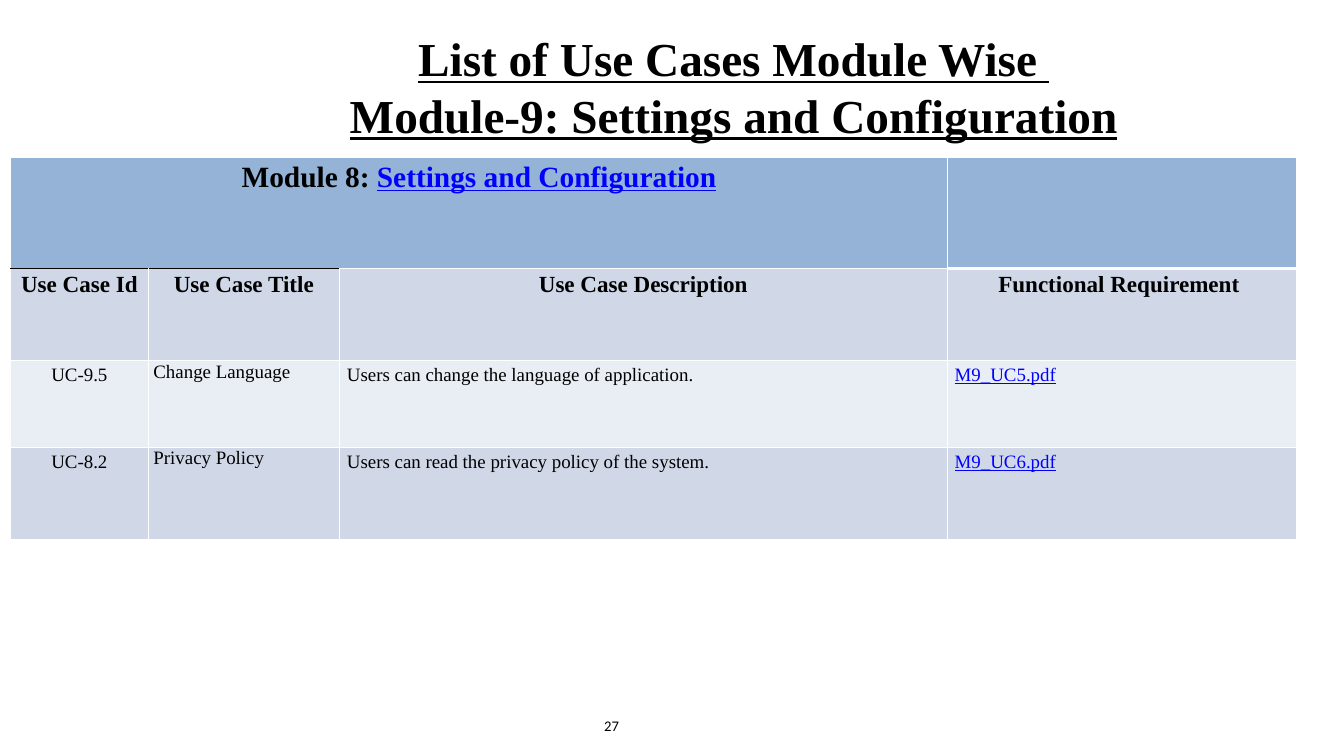
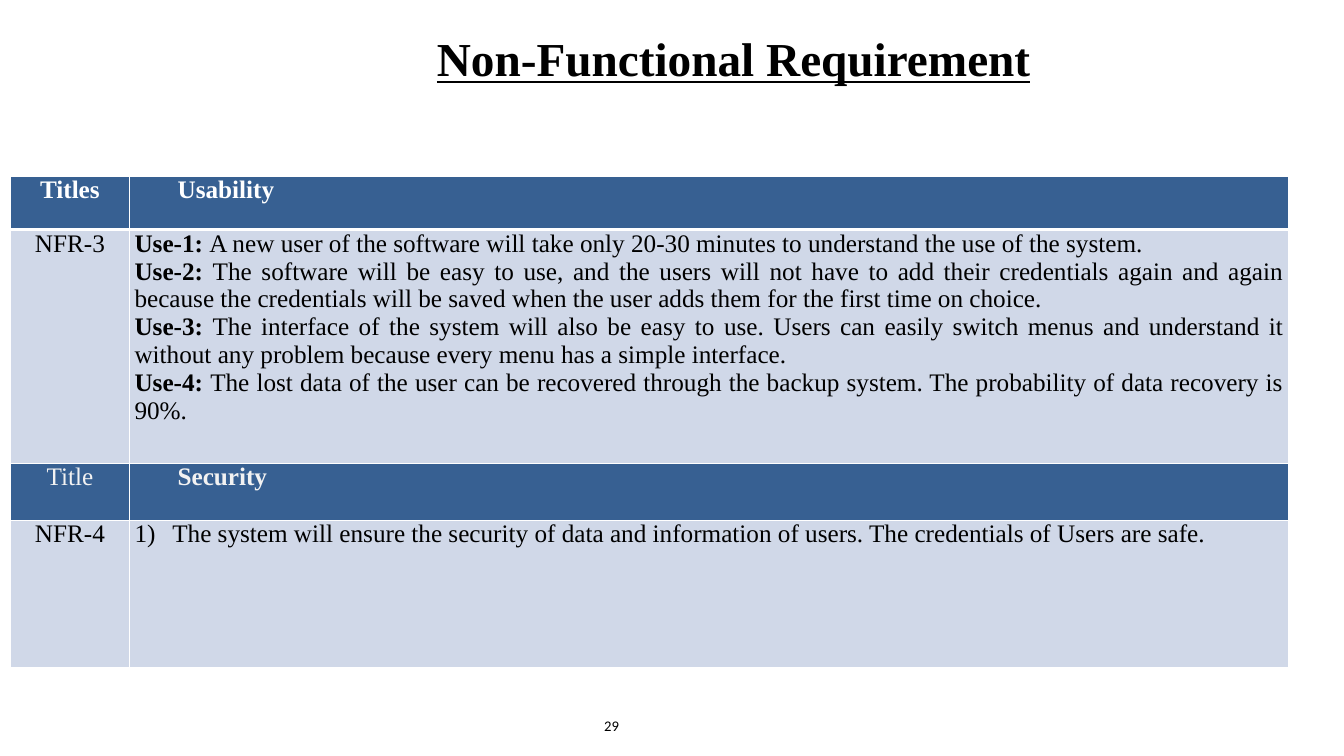
from dataclasses import dataclass

from lxml.etree import SubElement
from pptx import Presentation
from pptx.dml.color import RGBColor
from pptx.enum.text import MSO_ANCHOR, PP_ALIGN as Align
from pptx.oxml.ns import qn
from pptx.util import Inches, Pt

# Shared look
SERIF = "Times New Roman"
BLACK, WHITE, PALE = "000000", "FFFFFF", "F2F2F2"
LINK, SKY, NAVY = "0000FF", "95B3D7", "376092"
BAND, LIGHT_BAND = "D0D8E8", "E9EDF4"
TABLE_LEFT = 0.14
TIGHT, ROOMY = (0.07, 0), (0.1, 0.05)  # cell margins: sides, top and bottom


@dataclass(frozen=True)
class TextStyle:
    size: float
    bold: bool = False
    color: str = BLACK
    underline: bool = False
    name: str = SERIF


@dataclass(frozen=True)
class Line:
    """One paragraph; the last run may have a style of its own."""
    text: str
    style: TextStyle
    align: Align = Align.LEFT
    tail: str = ""
    tail_style: TextStyle | None = None
    left: float = 0
    hanging: float = 0
    number: bool = False
    line_spacing: float | None = None
    space_after: float = 0


@dataclass(frozen=True)
class Cell:
    lines: tuple[Line, ...]
    fill: str
    margins: tuple[float, float] = TIGHT
    span: int = 1
    top: tuple[str, float] = (WHITE, 1)
    bottom: tuple[str, float] = (WHITE, 1)


@dataclass(frozen=True)
class TableSlide:
    number: str
    title: str
    title_left: float
    title_width: float
    table_top: float
    columns: tuple[float, ...]
    row_heights: tuple[float, ...]
    rows: tuple[tuple[Cell | None, ...], ...]


TITLE = TextStyle(45, bold=True, underline=True)
PAGE_NUMBER = TextStyle(14, name="Calibri")
MODULE = TextStyle(28, bold=True)
MODULE_LINK = TextStyle(28, bold=True, color=LINK, underline=True)
HEADING = TextStyle(22, bold=True)
ENTRY = TextStyle(18)
ENTRY_LINK = TextStyle(18, color=LINK, underline=True)
REQUIREMENT = TextStyle(24)
REQUIREMENT_BOLD = TextStyle(24, bold=True)


def rgb(color: str) -> RGBColor:
    return RGBColor.from_string(color)


def set_font(font, style: TextStyle) -> None:
    font.name, font.size = style.name, Pt(style.size)
    font.bold, font.underline = style.bold, style.underline
    font.color.rgb = rgb(style.color)


def write_line(paragraph, line: Line) -> None:
    paragraph.alignment = line.align
    paragraph.space_after = Pt(line.space_after)
    if line.line_spacing:
        paragraph.line_spacing = line.line_spacing
    properties = paragraph._p.get_or_add_pPr()
    properties.set("marL", str(Inches(line.left)))
    properties.set("indent", str(-Inches(line.hanging)))
    if line.number:
        SubElement(properties, qn("a:buFont"), typeface="+mj-lt")
        SubElement(properties, qn("a:buAutoNum"), type="arabicParenR")
    if line.tail:
        for text, style in ((line.text, line.style), (line.tail, line.tail_style)):
            run = paragraph.add_run()
            run.text = text
            set_font(run.font, style)
    else:
        paragraph.text = line.text
        set_font(paragraph.font, line.style)


def write_lines(frame, lines: tuple[Line, ...]) -> None:
    for index, line in enumerate(lines):
        write_line(frame.add_paragraph() if index else frame.paragraphs[0], line)


def add_text(slide, left: float, top: float, width: float, height: float,
             line: Line, anchor: MSO_ANCHOR) -> None:
    frame = slide.shapes.add_textbox(
        Inches(left), Inches(top), Inches(width), Inches(height)).text_frame
    frame.word_wrap = True
    frame.vertical_anchor = anchor
    frame.margin_left = frame.margin_right = Inches(0.11)
    frame.margin_top = frame.margin_bottom = Inches(0.06)
    write_lines(frame, (line,))


def add_border(cell, side: str, color: str, width: float) -> None:
    border = SubElement(cell._tc.get_or_add_tcPr(), qn(f"a:ln{side}"), w=str(Pt(width)))
    SubElement(SubElement(border, qn("a:solidFill")), qn("a:srgbClr"), val=color)


def draw_cell(cell, content: Cell) -> None:
    sides, ends = content.margins
    cell.margin_left = cell.margin_right = Inches(sides)
    cell.margin_top = cell.margin_bottom = Inches(ends)
    for side, border in (("L", (WHITE, 1)), ("R", (WHITE, 1)),
                         ("T", content.top), ("B", content.bottom)):
        add_border(cell, side, *border)
    cell.fill.solid()
    cell.fill.fore_color.rgb = rgb(content.fill)
    write_lines(cell.text_frame, content.lines)


def draw_table(slide, page: TableSlide) -> None:
    table = slide.shapes.add_table(
        len(page.rows), len(page.columns), Inches(TABLE_LEFT), Inches(page.table_top),
        Inches(sum(page.columns)), Inches(sum(page.row_heights))).table
    table.first_row = table.horz_banding = False
    for column, width in zip(table.columns, page.columns):
        column.width = Inches(width)
    for row, height in zip(table.rows, page.row_heights):
        row.height = Inches(height)
    for row_index, row in enumerate(page.rows):
        for column_index, content in enumerate(row):
            if content is None:
                continue
            cell = table.cell(row_index, column_index)
            if content.span > 1:
                cell.merge(table.cell(row_index, column_index + content.span - 1))
            draw_cell(cell, content)


def draw_page(presentation, page: TableSlide) -> None:
    slide = presentation.slides.add_slide(presentation.slide_layouts[6])
    add_text(slide, 7.56, 9.33, 0.74, 0.53,
             Line(page.number, PAGE_NUMBER, Align.RIGHT), MSO_ANCHOR.MIDDLE)
    add_text(slide, page.title_left, 0.33, page.title_width, 1.25,
             Line(page.title, TITLE, Align.CENTER), MSO_ANCHOR.TOP)
    draw_table(slide, page)


# Use case table
def heading_cell(text: str, top: str) -> Cell:
    return Cell((Line(text, HEADING, Align.CENTER),), BAND, ROOMY, top=(top, 1))


def use_case_row(case_id: str, title: str, description: str, document: str,
                 fill: str, title_spacing: float | None = None,
                 title_after: float = 0) -> tuple[Cell, ...]:
    title_line = Line(title, ENTRY, line_spacing=title_spacing, space_after=title_after)
    return (
        Cell((Line(case_id, ENTRY, Align.CENTER),), fill, ROOMY),
        Cell((title_line,), fill),
        Cell((Line(description, ENTRY, Align.JUSTIFY),), fill, ROOMY),
        Cell((Line(document, ENTRY_LINK, Align.JUSTIFY),), fill, ROOMY),
    )


# Requirement table
def requirement_header(label: str, label_style: TextStyle, name: str,
                       color: str, bottom: float = 1) -> tuple[Cell, ...]:
    name_style = TextStyle(24, bold=True, color=color)
    lines = (Line(label, label_style, Align.CENTER), Line(name, name_style, left=0.57))
    return tuple(Cell((line,), NAVY, bottom=(WHITE, bottom)) for line in lines)


def requirement_row(label: str, lines: tuple[Line, ...]) -> tuple[Cell, ...]:
    return Cell((Line(label, REQUIREMENT, Align.CENTER),), BAND), Cell(lines, BAND)


USABILITY = (
    "A new user of the software will take only 20-30 minutes to understand the use "
    "of the system.",
    "The software will be easy to use, and the users will not have to add their "
    "credentials again and again because the credentials will be saved when the user "
    "adds them for the first time on choice.",
    "The interface of the system will also be easy to use. Users can easily switch "
    "menus and understand it without any problem because every menu has a simple "
    "interface.",
    "The lost data of the user can be recovered through the backup system. The "
    "probability of data recovery is 90%.",
)
SECURITY = ("The system will ensure the security of data and information of users. "
            "The credentials of Users are safe.")

PAGES = (
    TableSlide(
        "27", "List of Use Cases Module Wise \vModule-9: Settings and Configuration",
        2.26, 14.89, 2.08, (1.82, 2.53, 8.04, 4.62), (1.47, 1.22, 1.15, 1.21),
        (
            (Cell((Line("Module 8: ", MODULE, Align.CENTER,
                        "Settings and Configuration", MODULE_LINK),),
                  SKY, ROOMY, span=3, bottom=(BLACK, 1)),
             None, None, Cell((), SKY, ROOMY, bottom=(WHITE, 3))),
            (heading_cell("Use Case Id", BLACK), heading_cell("Use Case Title", BLACK),
             heading_cell("Use Case Description", WHITE),
             heading_cell("Functional Requirement ", WHITE)),
            use_case_row("UC-9.5", "Change Language",
                         "Users can change the language of application.",
                         "M9_UC5.pdf", LIGHT_BAND, 1.07, 8),
            use_case_row("UC-8.2", "Privacy Policy",
                         "Users can read the privacy policy of the system.",
                         "M9_UC6.pdf", BAND),
        )),
    TableSlide(
        "29", "Non-Functional Requirement",
        2.94, 13.53, 2.33, (1.57, 15.34), (0.71, 3.09, 0.75, 1.95),
        (
            requirement_header("Titles", TextStyle(24, bold=True, color=WHITE),
                               "Usability", WHITE, bottom=3),
            requirement_row("NFR-3", tuple(
                Line(f"Use-{number}: ", REQUIREMENT_BOLD, Align.JUSTIFY, text, REQUIREMENT)
                for number, text in enumerate(USABILITY, 1))),
            requirement_header("Title", TextStyle(24, color=PALE), "Security", PALE),
            requirement_row("NFR-4", (
                Line(SECURITY, REQUIREMENT, Align.JUSTIFY,
                     left=0.5, hanging=0.5, number=True),)),
        )),
)


def main() -> None:
    presentation = Presentation()
    presentation.slide_width, presentation.slide_height = Inches(17.78), Inches(10)
    for page in PAGES:
        draw_page(presentation, page)
    presentation.save("out.pptx")


if __name__ == "__main__":
    main()
